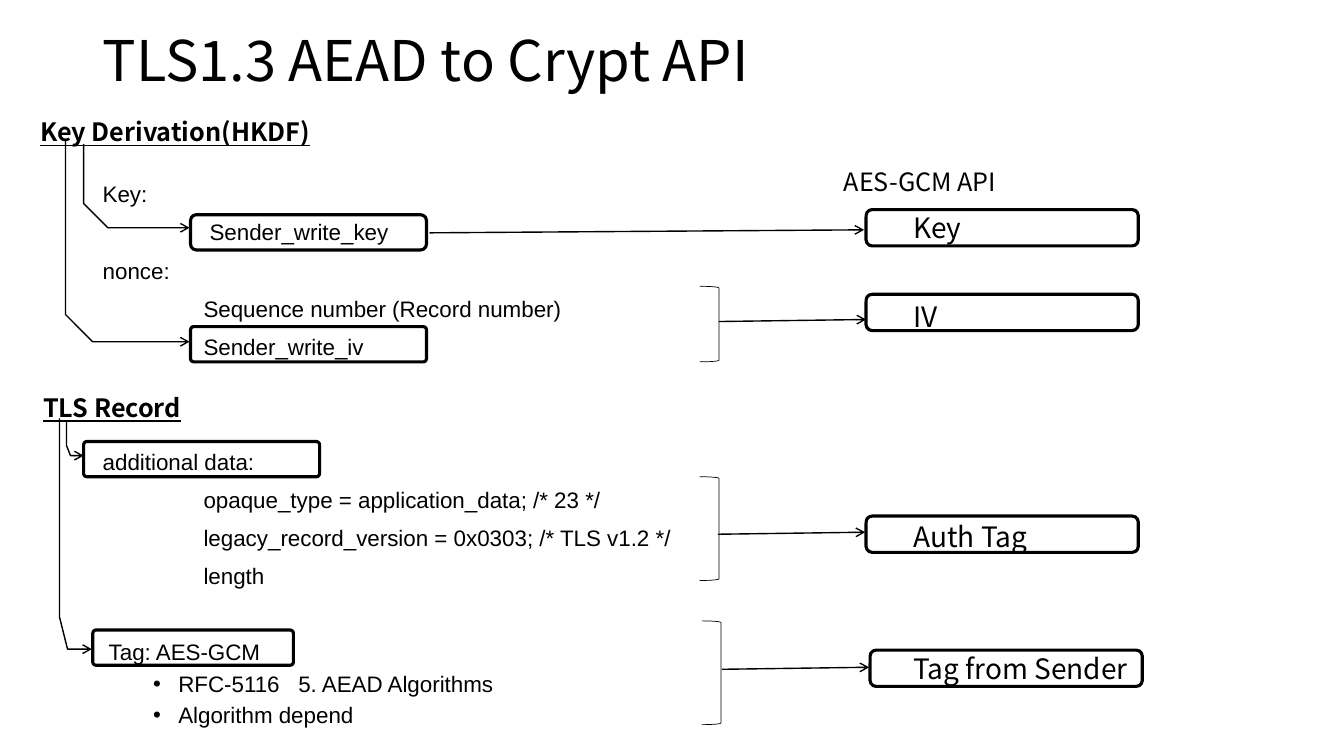
from lxml import etree
from pptx import Presentation
from pptx.dml.color import RGBColor
from pptx.enum.shapes import MSO_CONNECTOR as Link, MSO_SHAPE as Shape
from pptx.enum.text import MSO_ANCHOR as Anchor, PP_ALIGN as Align
from pptx.oxml.ns import qn
from pptx.util import Inches, Pt

BLACK = RGBColor(0, 0, 0)
SANS, CJK = "Arial", "Noto Sans CJK JP"


class Board:
    def __init__(self, deck):
        self.slide = deck.slides.add_slide(deck.slide_layouts[5])
        self.shapes = self.slide.shapes

    def style(self, para, size, font, bold=False):
        for run in para.runs:
            run.font.size, run.font.name = Pt(size), font
            run.font.bold = run.font.underline = bold
            run.font.color.rgb = BLACK

    def title(self, text, *box):
        shape = self.shapes.title
        shape.left, shape.top, shape.width, shape.height = map(Inches, box)
        shape.text_frame.text = text
        shape.text_frame.vertical_anchor = Anchor.MIDDLE
        para = shape.text_frame.paragraphs[0]
        para.alignment, para.line_spacing = Align.LEFT, 0.9
        self.style(para, 40, CJK)

    def frame(self, box, wrap=True):
        frame = self.shapes.add_textbox(*map(Inches, box)).text_frame
        frame.word_wrap = wrap
        return frame

    def label(self, text, *box, bold=False, wrap=True):
        frame = self.frame(box, wrap)
        frame.text = text
        self.style(frame.paragraphs[0], 18, CJK, bold)

    def column(self, rows, box, size, font, pitch):
        """Stack rows of (text, indent, skipped lines, bullet)."""
        frame = self.frame(box)
        for num, (text, indent, skip, dot) in enumerate(rows):
            para = frame.add_paragraph() if num else frame.paragraphs[0]
            para.text = text
            para.line_spacing = 0.9
            para.space_before = Pt((5 if dot else 10) + skip * pitch)
            props = para._p.get_or_add_pPr()
            props.set("marL", str(Inches(indent)))
            props.set("indent", str(Inches(-0.25 if dot else 0)))
            if dot:
                etree.SubElement(props, qn("a:buFont")).set("typeface", SANS)
                etree.SubElement(props, qn("a:buChar")).set("char", "•")
                tabs = etree.SubElement(props, qn("a:tabLst"))
                stop = etree.SubElement(tabs, qn("a:tab"))
                stop.set("pos", str(Inches(1.94)))
                stop.set("algn", "l")
            self.style(para, size, font)

    def pen(self, shape, width, arrow=False):
        shape.line.color.rgb = BLACK
        shape.line.width = Pt(width)
        if arrow:
            tip = etree.SubElement(shape.line._get_or_add_ln(), qn("a:tailEnd"))
            tip.set("type", "arrow")

    def hollow(self, shape, width, arrow=False):
        shape.shadow.inherit = False
        shape.fill.background()
        self.pen(shape, width, arrow)

    def box(self, *place, curve=0.167):
        shape = self.shapes.add_shape(Shape.ROUNDED_RECTANGLE, *map(Inches, place))
        shape.adjustments[0] = curve
        self.hollow(shape, 2.25)

    def brace(self, *place):
        shape = self.shapes.add_shape(Shape.RIGHT_BRACKET, *map(Inches, place))
        self.hollow(shape, 0.5)

    def arrow(self, *ends):
        line = self.shapes.add_connector(Link.STRAIGHT, *map(Inches, ends))
        etree.SubElement(line._element.spPr, qn("a:effectLst"))
        self.pen(line, 1, arrow=True)

    def bend(self, *points):
        """Draw an open arrow through the points."""
        first, *rest = [(Inches(x), Inches(y)) for x, y in points]
        path = self.shapes.build_freeform(*first)
        path.add_line_segments(rest, close=False)
        self.hollow(path.convert_to_shape(), 1, arrow=True)


FIELDS = [
    ("Key:", 0, 0, False),
    ("Sender_write_key", 1.06, 0, False),
    ("nonce:", 0, 0, False),
    ("Sequence number (Record number)", 1, 0, False),
    ("Sender_write_iv", 1, 0, False),
    ("additional data:", 0, 2, False),
    ("opaque_type = application_data; /* 23 */", 1, 0, False),
    ("legacy_record_version = 0x0303; /* TLS v1.2 */", 1, 0, False),
    ("length", 1, 0, False),
    ("Tag: AES-GCM", 0.06, 1, False),
    ("RFC-5116\t5. AEAD Algorithms", 0.75, 0, True),
    ("Algorithm depend", 0.75, 0, True),
]
INPUTS = [
    ("Key", 0, 0, False),
    ("IV", 0, 1, False),
    ("Auth Tag", 0, 4, False),
    ("Tag from Sender", 0, 2, False),
]


def main():
    deck = Presentation()
    deck.slide_width, deck.slide_height = Inches(13.33), Inches(7.5)
    board = Board(deck)

    board.title("TLS1.3 AEAD to Crypt API", 0.92, -0.1, 7.65, 1.45)
    board.column(FIELDS, (0.92, 1.77, 6.21, 5.28), 16, SANS, 27.3)
    board.column(INPUTS, (8.96, 2.08, 2.7, 5.28), 20, CJK, 31.4)
    board.label("Key Derivation(HKDF)", 0.3, 1.11, 3.79, 0.4, bold=True)
    board.label("TLS Record", 0.33, 3.84, 2.58, 0.4, bold=True)
    board.label("AES-GCM API", 8.27, 1.6, 1.85, 0.4, wrap=False)

    for left, top in (8.59, 2.08), (8.59, 2.92), (8.59, 5.12), (8.63, 6.45):
        board.box(left, top, 2.7, 0.36)
    board.box(1.89, 2.13, 2.34, 0.35)
    for left, top, width in (1.89, 3.24, 2.34), (0.83, 4.38, 2.34), (0.92, 6.25, 1.99):
        board.box(left, top, width, 0.35, curve=0.093)

    board.arrow(4.26, 2.31, 8.57, 2.28)
    for left, top, height, start, mid in (
        (6.94, 2.84, 0.75, 7.13, 3.19),
        (6.94, 4.73, 1.03, 7.12, 5.3),
        (6.96, 6.16, 1.03, 7.16, 6.64),
    ):
        board.brace(left, top, 0.19, height)
        board.arrow(start, mid, start + 1.46, mid - 0.02)

    board.bend((0.83, 1.43), (0.83, 2.02), (1.07, 2.26), (1.88, 2.26))
    board.bend((0.65, 1.4), (0.65, 3.12), (0.92, 3.39), (1.88, 3.39))
    board.bend((0.66, 4.17), (0.66, 4.42), (0.7, 4.52), (0.83, 4.52))
    board.bend((0.59, 4.15), (0.59, 6.12), (0.67, 6.44), (0.91, 6.44))

    deck.save("out.pptx")


if __name__ == "__main__":
    main()
